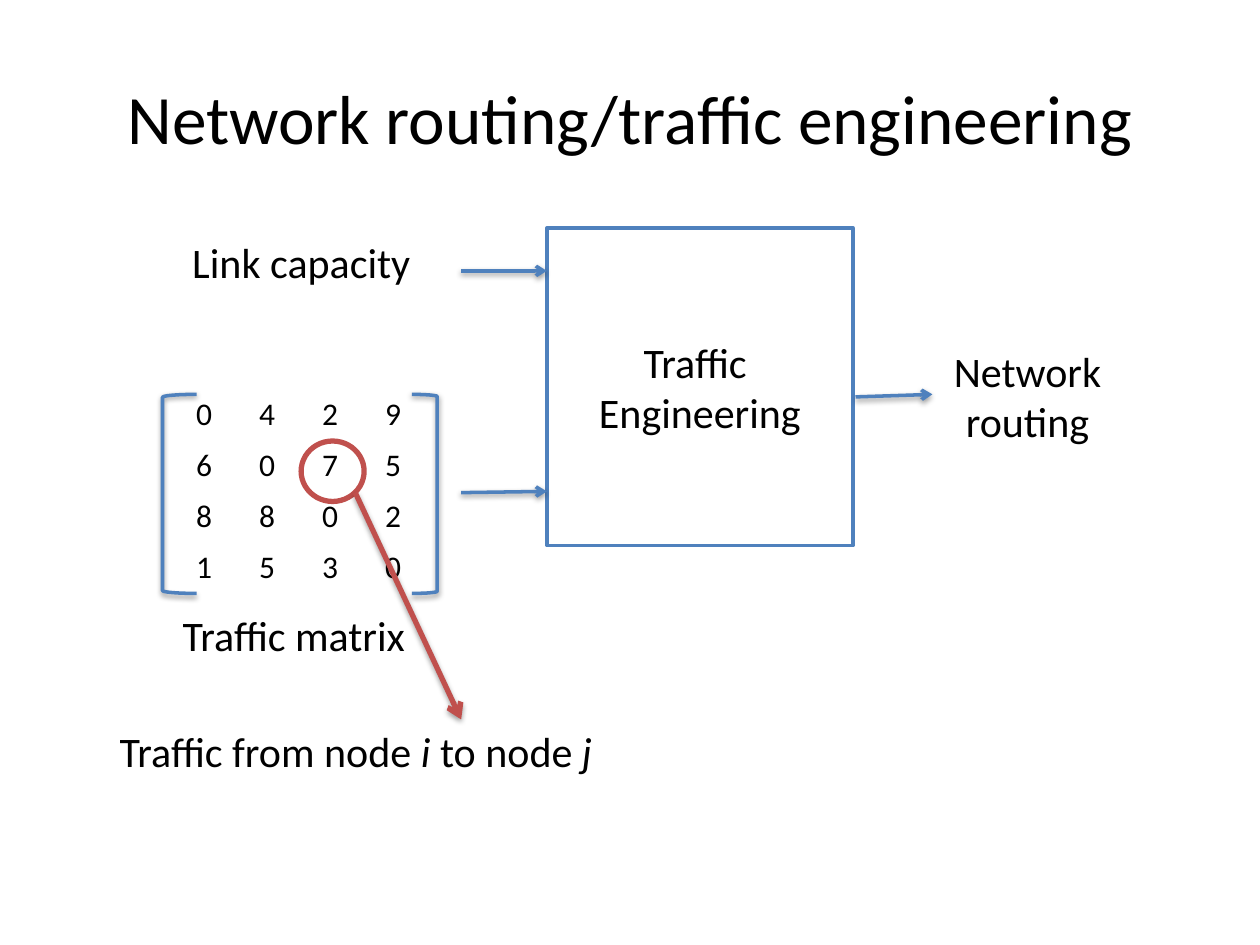
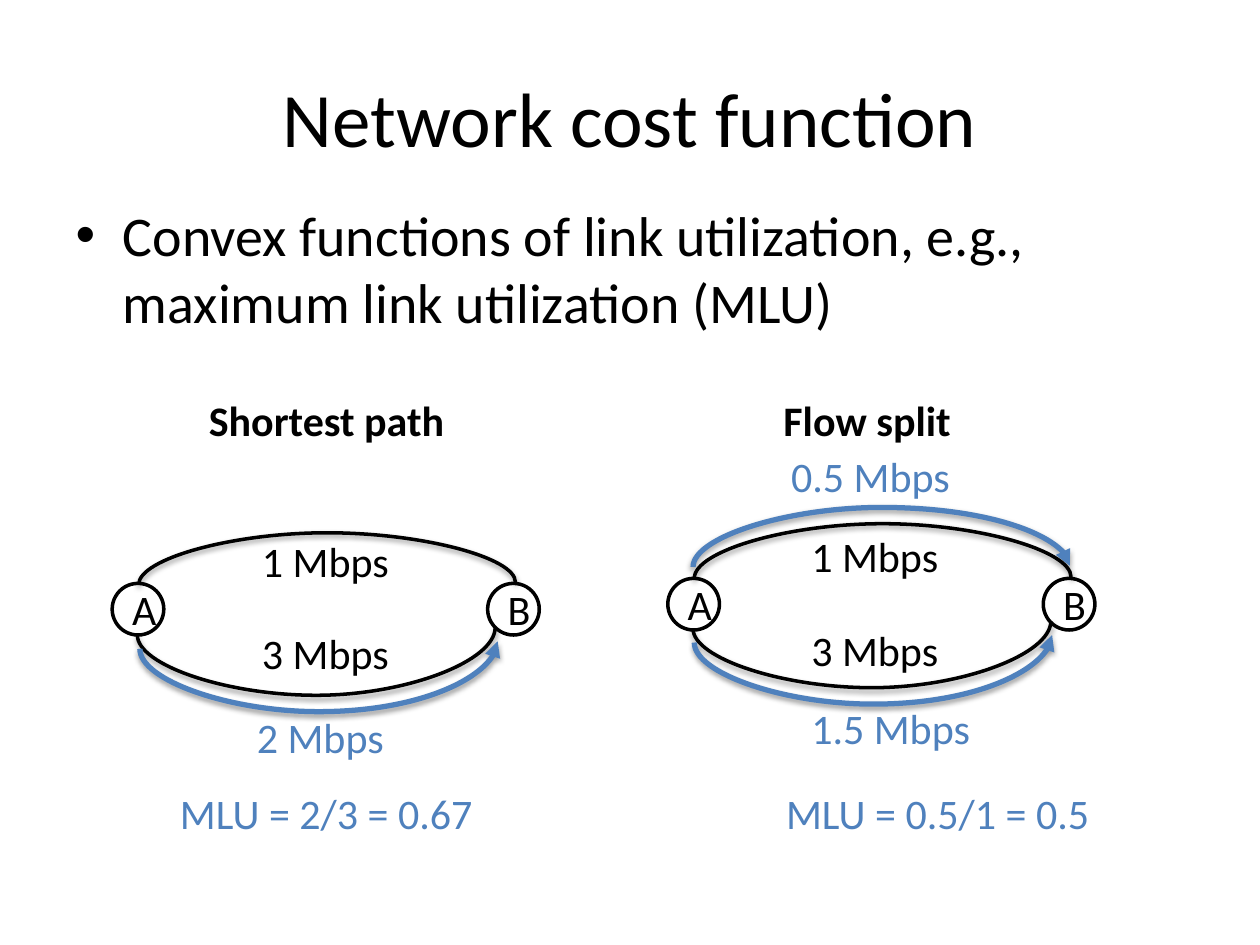
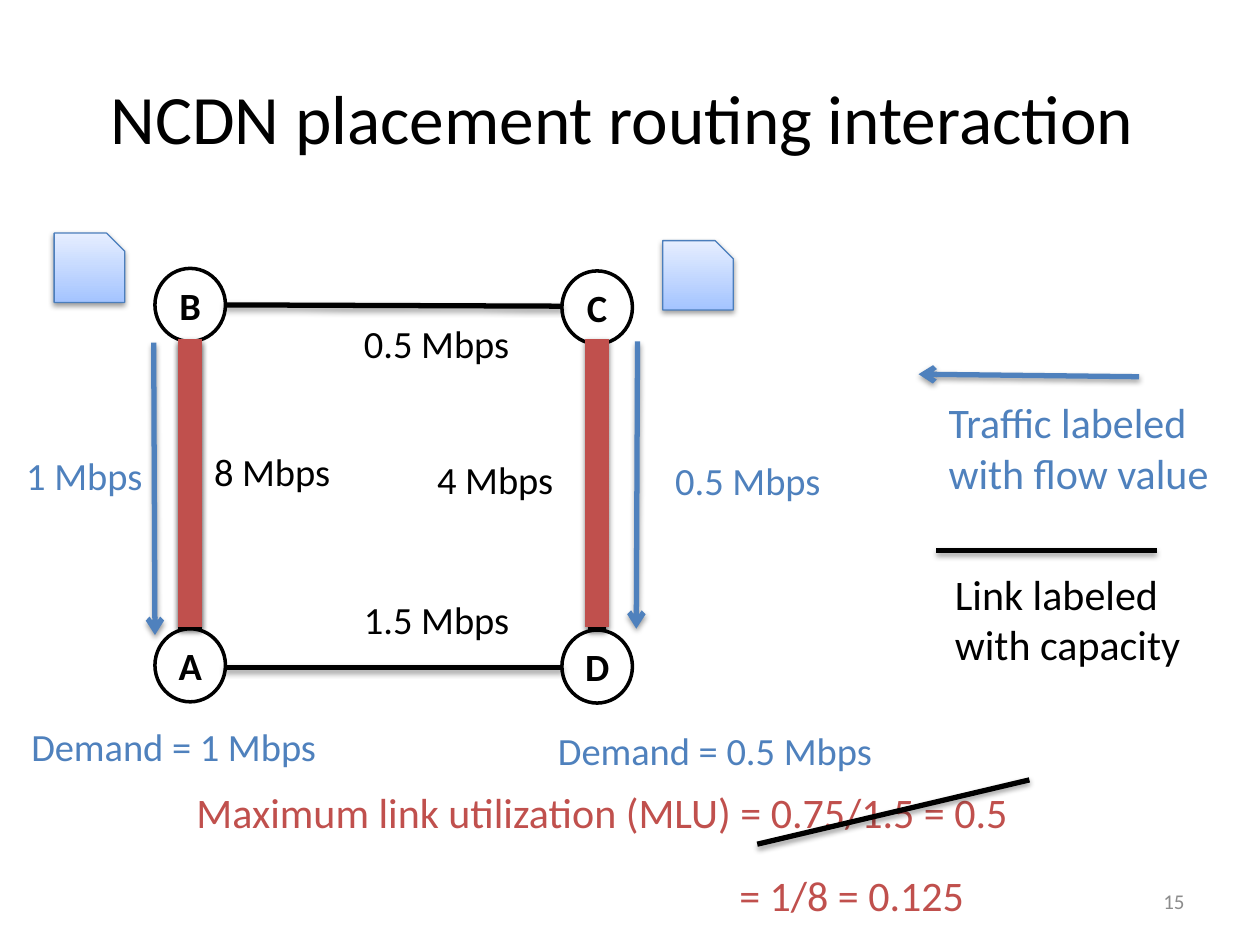
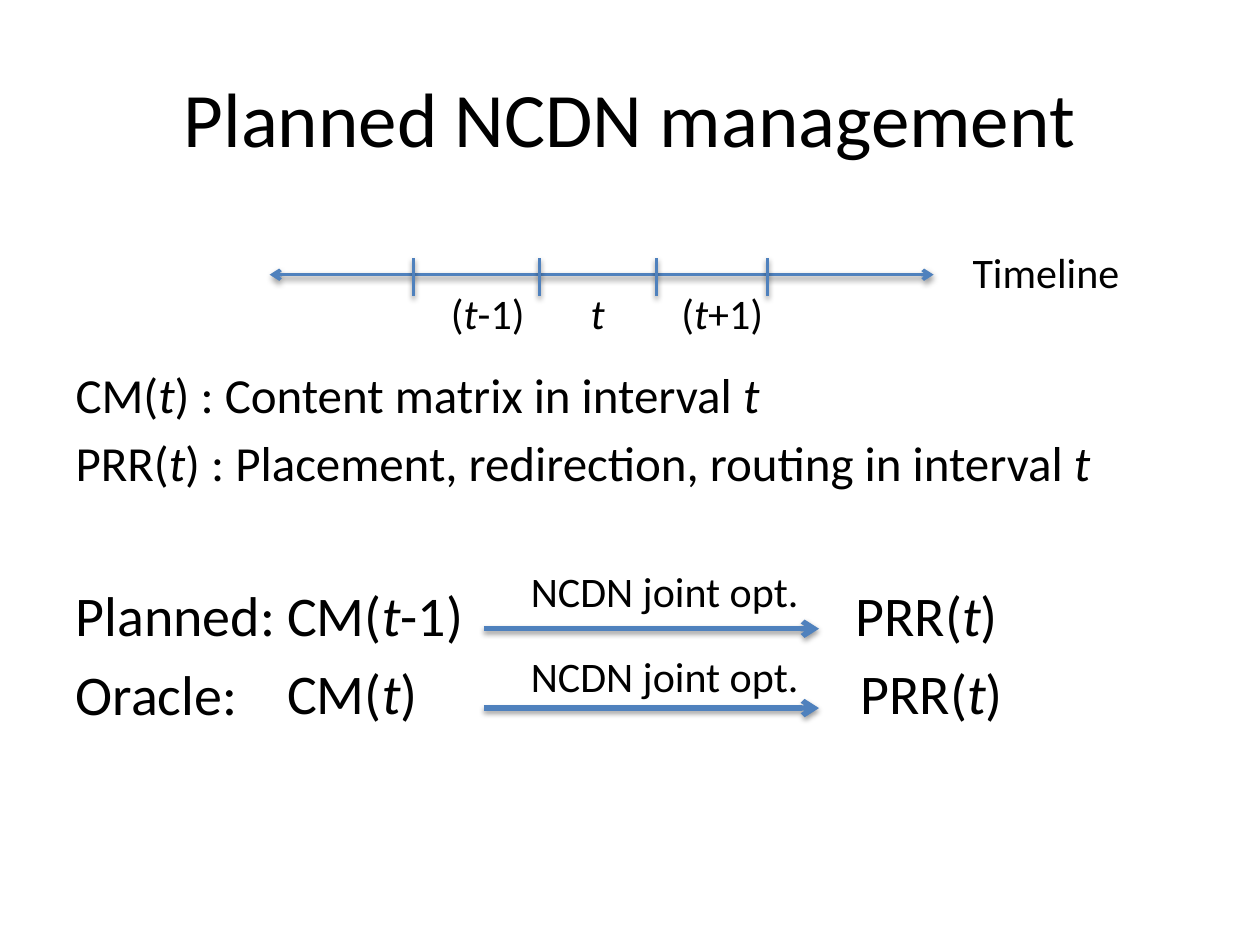
from copy import deepcopy

from pptx import Presentation
from pptx.dml.color import RGBColor
from pptx.enum.shapes import MSO_CONNECTOR as CONNECTOR, MSO_SHAPE as SHAPE
from pptx.enum.text import MSO_ANCHOR as ANCHOR, PP_ALIGN as ALIGN
from pptx.oxml import parse_xml
from pptx.oxml.ns import nsdecls, qn
from pptx.util import Inches, Pt

COLORS = {key: RGBColor.from_string(value) for key, value in {
    "ink": "000000", "paper": "FFFFFF", "blue": "4F81BD", "red": "C0504D",
    "grey": "8C8C8C", "file_line": "4B7EBC", "file_dark": "A4C4FF",
    "file_light": "E6EEFF"}.items()}
FONT = "Calibri"
SHADOW = parse_xml(
    f'<a:effectLst {nsdecls("a")}><a:outerShdw blurRad="40000" dist="20000" '
    'dir="5400000" rotWithShape="0"><a:srgbClr val="000000">'
    '<a:alpha val="38000"/></a:srgbClr></a:outerShdw></a:effectLst>')

# The slide is a grid of 10 columns by 7.5 rows of square cells
presentation = Presentation()
presentation.slide_width, presentation.slide_height = Inches(10), Inches(7.5)
CELL = presentation.slide_width // 10


def add_text(slide, box, text, kind=None, shape=None, size=24, color="ink",
             bold=None, align=ALIGN.LEFT, anchor=ANCHOR.TOP, wrap=True,
             fill=None, line=None, line_width=2, tabs=()):
    """Write text in a placeholder, preset shape or text box; *t* is italic."""
    left, top, width, height = [round(value * CELL) for value in box]
    if shape is not None:
        shape.left, shape.top, shape.width, shape.height = left, top, width, height
    elif kind is None:
        shape = slide.shapes.add_textbox(left, top, width, height)
    else:
        shape = slide.shapes.add_shape(kind, left, top, width, height)
        shape.shadow.inherit = False
        for part, paint in ((shape.fill, fill), (shape.line.fill, line)):
            if paint:
                part.solid()
                part.fore_color.rgb = COLORS[paint]
            else:
                part.background()
        if line:
            shape.line.width = Pt(line_width)
    frame = shape.text_frame
    frame.word_wrap, frame.vertical_anchor = wrap, anchor
    for index, words in enumerate(text.split("\n") if text else []):
        paragraph = frame.paragraphs[0] if index == 0 else frame.add_paragraph()
        paragraph.alignment = align
        for part_index, part in enumerate(words.split("*")):
            if not part:
                continue
            run = paragraph.add_run()
            run.text = part
            font_format = {"name": FONT, "size": Pt(size), "bold": bold,
                           "italic": part_index % 2 == 1 or None}
            for name, value in font_format.items():
                setattr(run.font, name, value)
            run.font.color.rgb = COLORS[color]
        if tabs:
            stops = "".join(f'<a:tab pos="{round(tab * CELL)}" algn="l"/>' for tab in tabs)
            paragraph._p.get_or_add_pPr().append(
                parse_xml(f'<a:tabLst {nsdecls("a")}>{stops}</a:tabLst>'))
    return shape


def add_line(slide, start, end, color="blue", width=2, head=None, tail=None,
             kind=CONNECTOR.STRAIGHT):
    """Draw a shadowed line with optional arrowheads."""
    points = [round(value * CELL) for value in (*start, *end)]
    connector = slide.shapes.add_connector(kind, *points)
    connector.line.color.rgb = COLORS[color]
    connector.line.width = Pt(width)
    properties = connector._element.spPr
    outline = properties.find(qn("a:ln"))
    for tag, arrow in (("headEnd", head), ("tailEnd", tail)):
        if arrow:
            outline.append(parse_xml(f'<a:{tag} {nsdecls("a")} type="{arrow}"/>'))
    properties.append(deepcopy(SHADOW))
    return connector


# Titles on every slide: text, size, layout
TITLES = [("Network routing/traffic engineering", 39.6, 5),
          ("Network cost function", 44, 1),
          ("NCDN placement routing interaction ", 39.6, 5),
          ("Planned NCDN management", 44, 1)]
slides = []
for title, size, layout in TITLES:
    slide = presentation.slides.add_slide(presentation.slide_layouts[layout])
    add_text(slide, (0.5, 0.3, 9, 1.25), title, shape=slide.shapes.title, size=size,
             align=ALIGN.CENTER, anchor=ANCHOR.MIDDLE)
    slides.append(slide)
routing, cost, placement, planning = slides

# Slide 1: traffic matrix
MATRIX = ["0429", "6075", "8802", "1530"]
table = routing.shapes.add_table(
    4, 4, *[round(value * CELL) for value in (1.37, 3.09, 2, 1.62)]).table
table.first_row = table.horz_banding = False
for row, digits in enumerate(MATRIX):
    for column, digit in enumerate(digits):
        cell = table.cell(row, column)
        cell.fill.background()
        paragraph = cell.text_frame.paragraphs[0]
        paragraph.alignment = ALIGN.CENTER
        run = paragraph.add_run()
        run.text = digit
        run.font.name, run.font.size = FONT, Pt(18)
        run.font.color.rgb = COLORS["ink"]
for kind, box in ((SHAPE.RIGHT_BRACKET, (3.27, 3.13, 0.2, 1.58)),
                  (SHAPE.LEFT_BRACKET, (1.29, 3.13, 0.27, 1.58))):
    bracket = add_text(routing, box, "", kind, line="blue")
    bracket._element.spPr.find(qn("a:effectLst")).append(deepcopy(SHADOW[0]))

# Slide 1: inputs, engine and output
add_text(routing, (1.35, 4.79, 2.02, 0.5), "Traffic matrix", wrap=False)
add_text(routing, (7.46, 2.69, 1.39, 0.91), "Network\nrouting", wrap=False,
         align=ALIGN.CENTER)
add_text(routing, (1.4, 1.8, 1.99, 0.56), "Link capacity", SHAPE.ROUNDED_RECTANGLE,
         fill="paper", wrap=False)
add_text(routing, (4.34, 1.81, 2.43, 2.52), "Traffic \nEngineering", SHAPE.RECTANGLE,
         fill="paper", line="blue", align=ALIGN.CENTER, anchor=ANCHOR.MIDDLE)
for start, end in (((3.66, 2.15), (4.34, 2.15)), ((3.66, 3.91), (4.34, 3.9)),
                   ((6.79, 3.15), (7.4, 3.13))):
    add_line(routing, start, end, tail="arrow")

# Slide 1: callout on one matrix entry
add_text(routing, (0.85, 5.71, 4.09, 0.5), "Traffic from node *i *to node *j*", wrap=False)
add_text(routing, (2.39, 3.5, 0.5, 0.48), "", SHAPE.OVAL, line="red", line_width=3)
add_line(routing, (2.82, 3.91), (3.66, 5.71), "red", 3, tail="arrow")

# Slide 2: cost function statement
add_text(cost, (0.5, 1.54, 9, 4.95),
         "Convex functions of link utilization, e.g., maximum link utilization (MLU)",
         shape=cost.placeholders[1], size=32)

# Slide 2: nodes of both networks
for left, top in ((0.89, 4.63), (5.3, 4.59)):
    for offset, name in ((0, "A"), (2.98, "B")):
        add_text(cost, (left + offset, top, 0.41, 0.41), name, SHAPE.OVAL, fill="paper",
                 line="ink", align=ALIGN.CENTER, anchor=ANCHOR.MIDDLE)

# Slide 2: arcs as left end, right end, height of the bend, colour (blue is flow)
ARCS = [((1.1, 4.64), (4.09, 4.62), -0.41, "ink"),
        ((1.09, 5.04), (3.93, 4.98), 0.54, "ink"),
        ((5.51, 4.59), (8.5, 4.58), -0.44, "ink"),
        ((5.5, 4.99), (8.34, 4.93), 0.53, "ink"),
        ((1.11, 5.15), (3.95, 5.09), 0.56, "blue"),
        ((5.51, 5.1), (8.35, 5.04), 0.55, "blue"),
        ((5.5, 4.5), (8.49, 4.49), -0.48, "blue")]
for (left, left_y), (right, right_y), bend, color in ARCS:
    # A quarter turn swaps the width and height of the arc's frame
    center_x, center_y = (left + right) / 2, (left_y + right_y) / 2
    span, rise = right - left, left_y - right_y
    corners = [(center_x - rise / 2, center_y - span / 2),
               (center_x + rise / 2, center_y + span / 2)]
    arrow_end = "head"
    if bend < 0:
        corners.reverse()
        arrow_end = "tail"
    flow = color == "blue"
    arc = add_line(cost, *corners, color, 3 if flow else 2, kind=CONNECTOR.CURVE,
                   **{arrow_end: "triangle" if flow else None})
    properties = arc._element.spPr
    properties.find(qn("a:xfrm")).set("rot", "5400000")
    geometry = properties.find(qn("a:prstGeom"))
    for values in geometry.findall(qn("a:avLst")):
        geometry.remove(values)
    geometry.append(parse_xml(
        f'<a:avLst {nsdecls("a")}><a:gd name="adj1" '
        f'fmla="val {round(abs(bend) / rise * 100000)}"/></a:avLst>'))

# Slide 2: labels as left, top, width, text, colour, bold
for left, top, width, text, color, bold in (
        (1.56, 3.08, 2.1, "Shortest path", "ink", True),
        (6.12, 3.08, 1.54, "Flow split", "ink", True),
        (1.98, 4.2, 1.22, "1 Mbps", "ink", None),
        (1.98, 4.93, 1.22, "3 Mbps", "ink", None),
        (6.34, 4.16, 1.22, "1 Mbps", "ink", None),
        (6.34, 4.91, 1.22, "3 Mbps", "ink", None),
        (1.94, 5.6, 1.22, "2 Mbps", "blue", None),
        (6.18, 3.53, 1.48, "0.5 Mbps", "blue", None),
        (6.34, 5.53, 1.48, "1.5 Mbps", "blue", None),
        (1.33, 6.2, 2.59, "MLU = 2/3 = 0.67", "blue", None),
        (6.14, 6.2, 2.68, "MLU = 0.5/1 = 0.5", "blue", None)):
    add_text(cost, (left, top, width, 0.5), text, color=color, bold=bold, wrap=False)

# Slide 3: nodes
for name, left, top in (("B", 1.23, 2.13), ("C", 4.46, 2.15),
                        ("A", 1.23, 4.99), ("D", 4.46, 5)):
    add_text(placement, (left, top, 0.56, 0.58), name, SHAPE.OVAL, size=22, bold=True,
             fill="paper", line="ink", align=ALIGN.CENTER, anchor=ANCHOR.MIDDLE)

# Slide 3: links, loaded links in red, and the legend's link
for start, end, color, width in (
        ((1.78, 2.42), (4.46, 2.43), "ink", 3),
        ((1.51, 2.71), (1.51, 4.99), "ink", 14),
        ((4.46, 5.3), (1.78, 5.3), "ink", 3),
        ((4.74, 2.72), (4.74, 5), "ink", 10),
        ((1.51, 2.69), (1.51, 4.98), "red", 14),
        ((4.74, 2.69), (4.74, 4.98), "red", 14),
        ((9.18, 4.37), (7.43, 4.37), "ink", 3)):
    add_line(placement, start, end, color, width)

# Slide 3: traffic arrows
for start, end in (((1.22, 2.72), (1.23, 5.04)), ((5.06, 2.71), (5.05, 4.99)),
                   ((9.04, 2.99), (7.29, 2.97))):
    add_line(placement, start, end, width=3, tail="arrow")

# Slide 3: capacities, flows and demands
for left, top, width, text, color in (
        (2.79, 2.49, 1.55, "0.5 Mbps", "ink"),
        (2.79, 4.68, 1.37, "1.5 Mbps", "ink"),
        (1.6, 3.51, 1.18, "8 Mbps", "ink"),
        (3.37, 3.57, 1.15, "4 Mbps", "ink"),
        (5.26, 3.58, 1.38, "0.5 Mbps", "blue"),
        (0.11, 3.54, 1.2, "1 Mbps", "blue"),
        (0.15, 5.69, 2.64, "Demand = 1 Mbps", "blue"),
        (4.33, 5.72, 2.96, "Demand = 0.5 Mbps", "blue")):
    add_text(placement, (left, top, width, 0.47), text, size=22, color=color)
add_text(placement, (7.43, 3.1, 2.4, 0.91), "Traffic labeled with flow value", color="blue")
add_text(placement, (7.48, 4.46, 2.35, 0.91), "Link labeled with capacity")

# Slide 3: content files
for left, top in ((5.26, 1.91), (0.43, 1.85)):
    file = add_text(placement, (left, top, 0.56, 0.55), "", SHAPE.SNIP_1_RECTANGLE,
                    line="file_line", line_width=0.75)
    file.adjustments[0] = 0.26
    file.fill.gradient()
    file.fill.gradient_angle = 90
    for stop, color in zip(file.fill.gradient_stops, ("file_dark", "file_light")):
        stop.color.rgb = COLORS[color]
    file._element.spPr.find(qn("a:effectLst")).append(deepcopy(SHADOW[0]))

# Slide 3: utilization result, struck out and replaced, and page number
add_text(placement, (1.25, 6.19, 7.06, 0.5),
         "Maximum link utilization (MLU) = 0.75/1.5 = 0.5", color="red", align=ALIGN.CENTER)
add_line(placement, (6.01, 6.7), (8.17, 6.19), "ink", 3)
add_text(placement, (5.59, 6.85, 2.34, 0.5), "= 1/8 = 0.125", color="red",
         align=ALIGN.CENTER)
add_text(placement, (7.17, 6.95, 2.33, 0.4), "15", size=12, color="grey",
         align=ALIGN.RIGHT, anchor=ANCHOR.MIDDLE)

# Slide 4: definitions and the names of the two schemes
body = add_text(planning, (0.5, 2.84, 9, 3.86),
                "CM(*t*) : Content matrix in interval *t*\n"
                "PRR(*t*) : Placement, redirection, routing in interval *t*\n"
                "Planned:\nOracle:",
                shape=planning.placeholders[1], size=28)
paragraphs = body.text_frame.paragraphs
for paragraph in paragraphs:
    properties = paragraph._p.get_or_add_pPr()
    properties.set("marL", "0")
    properties.set("indent", "0")
    properties.insert(0, parse_xml(f'<a:buNone {nsdecls("a")}/>'))
for paragraph in paragraphs[2:]:
    for run in paragraph.runs:
        run.font.size = Pt(32)
paragraphs[2].space_before = Pt(51)

# Slide 4: timeline with interval marks
add_line(planning, (2.14, 2.18), (7.41, 2.18), head="arrow", tail="arrow")
for mark in (3.28, 4.28, 5.21, 6.09):
    add_line(planning, (mark, 2.05), (mark, 2.35))
add_text(planning, (3.48, 2.23, 2.7, 0.5), "(*t*-1)\t*t*\t(*t*+1)", tabs=(1.11, 1.83))
add_text(planning, (7.62, 1.91, 1.38, 0.5), "Timeline", wrap=False)

# Slide 4: input, optimization arrow and result of each scheme
for top, matrix, result_left, label_top, arrow_y in (
        (4.56, "CM(*t*-1)", 6.69, 4.44, 4.99),
        (5.18, "CM(*t*)", 6.73, 5.11, 5.62)):
    add_text(planning, (2.18, top, 1.7, 0.64), matrix, size=32)
    add_text(planning, (result_left, top, 1.5, 0.64), "PRR(*t*)", size=32)
    add_text(planning, (4.1, label_top, 2.35, 0.5), "NCDN joint opt.", wrap=False,
             align=ALIGN.CENTER)
    add_line(planning, (3.84, arrow_y), (6.5, arrow_y), width=3, tail="arrow")

presentation.save("out.pptx")
